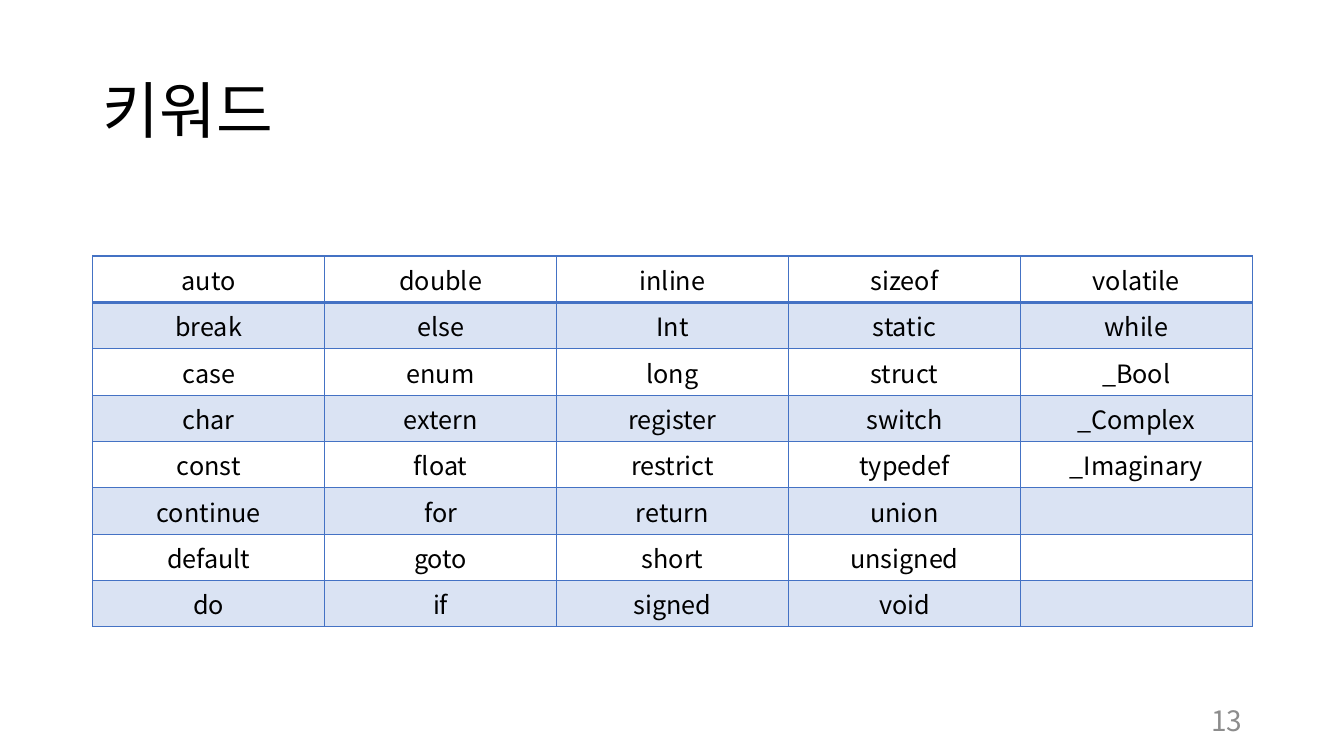
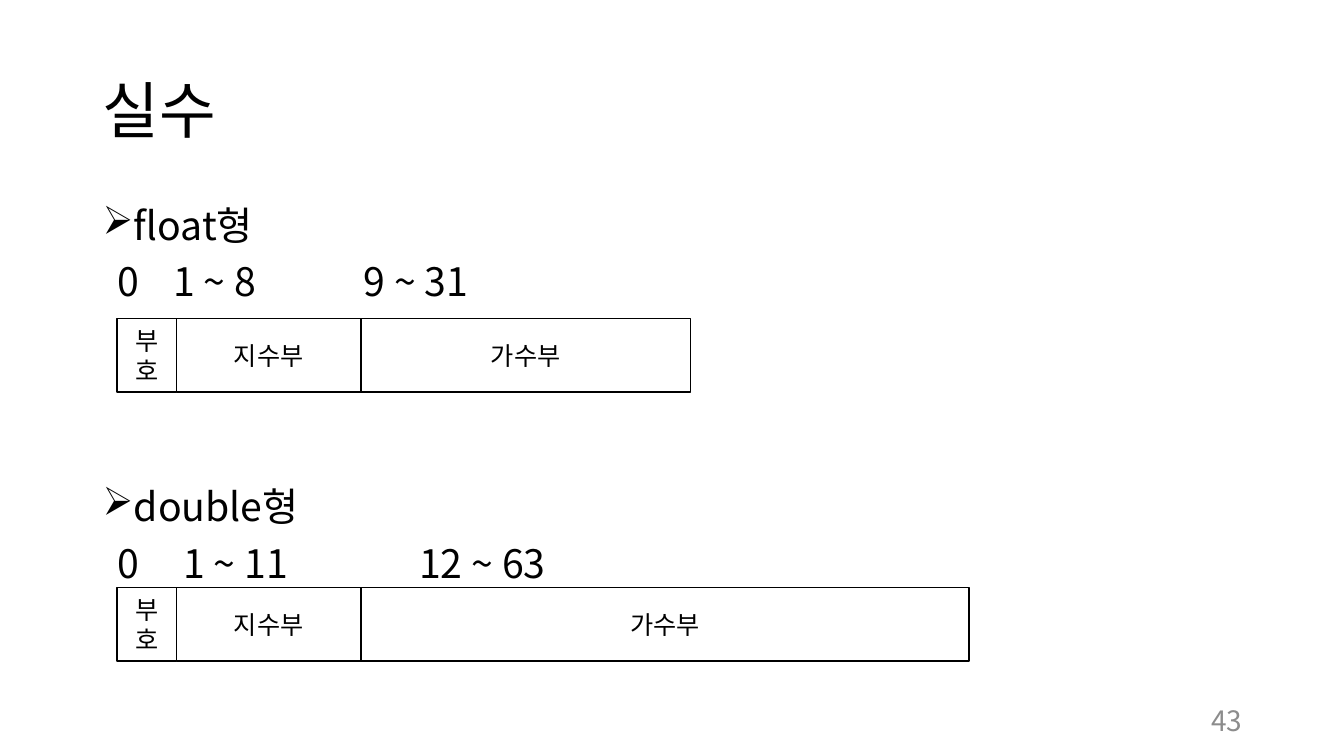
from dataclasses import dataclass

from lxml import etree
from pptx import Presentation
from pptx import util as u
from pptx.dml.color import RGBColor
from pptx.enum import shapes, text
from pptx.oxml import ns

PX = 9144  # EMU per px, 100 px to the inch
LEFT, WIDTH = 92, 1150  # content column shared by all slides


@dataclass(frozen=True)
class Theme:
    font: str = "Noto Sans CJK KR"
    ink: str = "000000"
    paper: str = "FFFFFF"
    accent: str = "4472C4"
    band: str = "DAE3F3"
    muted: str = "8C8C8C"
    title: int = 44
    body: int = 28
    number: int = 20
    label: int = 18


T = Theme()
KEYWORDS = [
    ["auto", "double", "inline", "sizeof", "volatile"],
    ["break", "else", "Int", "static", "while"],
    ["case", "enum", "long", "struct", "_Bool"],
    ["char", "extern", "register", "switch", "_Complex"],
    ["const", "float", "restrict", "typedef", "_Imaginary"],
    ["continue", "for", "return", "union", ""],
    ["default", "goto", "short", "unsigned", ""],
    ["do", "if", "signed", "void", ""],
]


def px(*values):
    return [u.Emu(v * PX) for v in values]


def rgb(color):
    return RGBColor.from_string(color)


def add_xml(parent, tag, **attrs):
    return etree.SubElement(parent, ns.qn(tag), {k: str(v) for k, v in attrs.items()})


def set_attrs(obj, **fmt):
    for name, value in fmt.items():
        setattr(obj, name, value)


def write(p, content, size, color=T.ink, **fmt):
    """Put one run into a paragraph; fmt holds paragraph attributes."""
    set_attrs(p, **fmt)
    r = p.add_run()
    r.text = content
    set_attrs(r.font, size=u.Pt(size), name=T.font)
    r.font.color.rgb = rgb(color)
    add_xml(r.font._element, "a:ea", typeface=T.font)


def add_text(s, box, anchor=text.MSO_ANCHOR.TOP):
    tf = s.shapes.add_textbox(*px(*box)).text_frame
    set_attrs(tf, word_wrap=True, vertical_anchor=anchor)
    return tf


def add_frame(prs, title, number):
    """Blank slide with the shared title and page number."""
    s = prs.slides.add_slide(prs.slide_layouts[6])
    middle = text.MSO_ANCHOR.MIDDLE
    tf = add_text(s, (LEFT, 40, WIDTH, 145), middle)
    write(tf.paragraphs[0], title, T.title, line_spacing=0.9)
    tf = add_text(s, (LEFT + WIDTH - 300, 695, 300, 40), middle)
    write(tf.paragraphs[0], str(number), T.number, T.muted,
          alignment=text.PP_ALIGN.RIGHT)
    return s


def add_border(cell, side, width):
    ln = add_xml(cell._tc.get_or_add_tcPr(), f"a:{side}", w=u.Pt(width))
    add_xml(add_xml(ln, "a:solidFill"), "a:srgbClr", val=T.accent)


def add_keyword_table(s, box, rows):
    tbl = s.shapes.add_table(len(rows), len(rows[0]), *px(*box)).table
    set_attrs(tbl, first_row=False, horz_banding=False)
    for i, row in enumerate(rows):
        for j, word in enumerate(row):
            cell = tbl.cell(i, j)
            # Borders come before the fill in the cell properties
            for side in ("lnL", "lnR", "lnT", "lnB"):
                heavy = (i, side) in ((0, "lnB"), (1, "lnT"))
                add_border(cell, side, 2 if heavy else 1)
            cell.fill.solid()
            cell.fill.fore_color.rgb = rgb(T.band if i % 2 else T.paper)
            if word:
                write(cell.text_frame.paragraphs[0], word, T.label,
                      alignment=text.PP_ALIGN.CENTER)


def add_field(s, box, name):
    sp = s.shapes.add_shape(shapes.MSO_SHAPE.RECTANGLE, *px(*box))
    sp.shadow.inherit = False
    sp.fill.solid()
    sp.fill.fore_color.rgb = rgb(T.paper)
    sp.line.color.rgb = rgb(T.ink)
    sp.line.width = u.Pt(1)
    tf = sp.text_frame
    set_attrs(tf, word_wrap=True, vertical_anchor=text.MSO_ANCHOR.MIDDLE)
    write(tf.paragraphs[0], name, T.label, alignment=text.PP_ALIGN.CENTER)


def add_real_type(s, box, heading, ranges, bar_top, mantissa):
    """Heading, bit ranges at tab stops, and the bar of fields below."""
    x, y, _, _ = box
    spacing = dict(line_spacing=0.9, space_before=u.Pt(10))
    tf = add_text(s, box)

    # Bulleted heading
    p = tf.paragraphs[0]
    write(p, heading, T.body, **spacing)
    pPr = p._p.get_or_add_pPr()
    indent = 25 * PX
    pPr.set("marL", str(indent))
    pPr.set("indent", str(-indent))
    add_xml(pPr, "a:buChar", char="➢")

    # Bit ranges
    p = tf.add_paragraph()
    write(p, "".join("\t" + bits for _, bits in ranges), T.body, **spacing)
    tabs = add_xml(p._p.get_or_add_pPr(), "a:tabLst")
    for stop, _ in ranges:
        add_xml(tabs, "a:tab", pos=stop * PX, algn="l")

    # Fields
    left = x + 24
    for name, width in (("부호", 59), ("지수부", 183), ("가수부", mantissa)):
        add_field(s, (left, y + bar_top, width, 73), name)
        left += width


def keyword_slide(prs):
    s = add_frame(prs, "키워드", 13)
    add_keyword_table(s, (LEFT, 254, WIDTH, 368), KEYWORDS)


def real_slide(prs):
    s = add_frame(prs, "실수", 43)
    add_real_type(s, (LEFT, 200, WIDTH, 115), "float형",
                  [(15, "0"), (70, "1 ~ 8"), (259, "9 ~ 31")], 116, 327)
    add_real_type(s, (LEFT, 479, WIDTH, 115), "double형",
                  [(15, "0"), (80, "1 ~ 11"), (314, "12 ~ 63")], 104, 603)


def main():
    prs = Presentation()
    prs.slide_width, prs.slide_height = px(1333, 750)
    keyword_slide(prs)
    real_slide(prs)
    prs.save("out.pptx")


if __name__ == "__main__":
    main()
